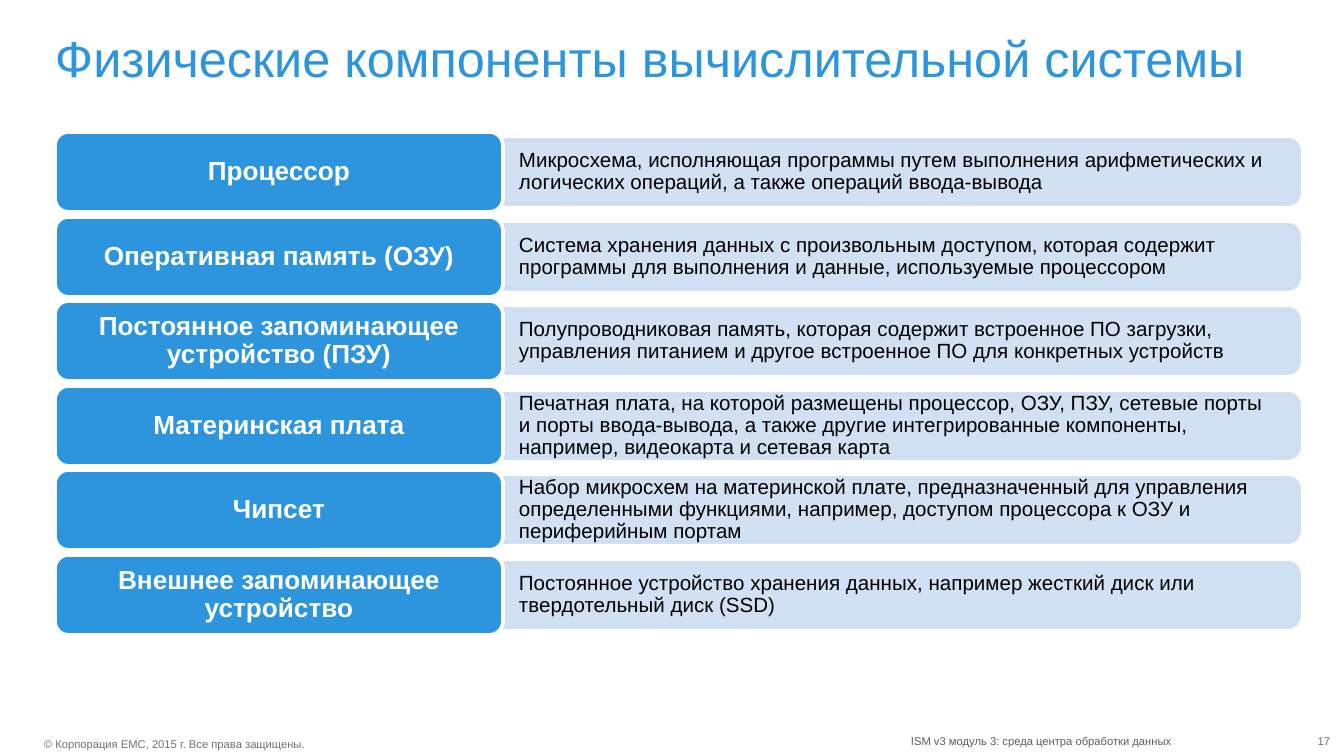
from math import cos, pi, sin

from lxml.etree import SubElement
from pptx import Presentation
from pptx.dml.color import RGBColor
from pptx.enum.shapes import MSO_SHAPE as Preset
from pptx.enum.text import MSO_ANCHOR as Anchor, PP_ALIGN as Align
from pptx.oxml.ns import qn
from pptx.util import Pt

SCALE = 9144000 / 1344
WIDTH, HEIGHT = 1344, 756
COLORS = {
    "accent": "2C95DD",
    "pale": "CDDDF2",
    "white": "FFFFFF",
    "black": "000000",
    "copyright": "717073",
    "module": "5B5E61",
    "number": "717074",
}
LABEL_LEFT, LABEL_WIDTH, LABEL_HEIGHT = 55, 448, 80
BAR_LEFT, BAR_WIDTH, BAR_HEIGHT, BAR_RADIUS = 503, 796, 64, 11
FIRST_TOP, LAST_TOP = 132, 555
COMPONENTS = [
    ("Процессор",
     "Микросхема, исполняющая программы путем выполнения арифметических и "
     "логических операций, а также операций ввода-вывода"),
    ("Оперативная память (ОЗУ)",
     "Система хранения данных с произвольным доступом, которая содержит "
     "программы для выполнения и данные, используемые процессором"),
    ("Постоянное запоминающее устройство (ПЗУ)",
     "Полупроводниковая память, которая содержит встроенное ПО загрузки, "
     "управления питанием и другое встроенное ПО для конкретных устройств"),
    ("Материнская плата",
     "Печатная плата, на которой размещены процессор, ОЗУ, ПЗУ, сетевые порты "
     "и порты ввода-вывода, а также другие интегрированные компоненты, "
     "например, видеокарта и сетевая карта"),
    ("Чипсет",
     "Набор микросхем на материнской плате, предназначенный для управления "
     "определенными функциями, например, доступом процессора к ОЗУ и "
     "периферийным портам"),
    ("Внешнее запоминающее устройство",
     "Постоянное устройство хранения данных, например жесткий диск или "
     "твердотельный диск (SSD)"),
]


def px(length):
    return round(length * SCALE)


def rgb(name):
    return RGBColor.from_string(COLORS[name])


def write(shape, text, *, size, color, bold=False, align=Align.LEFT,
          anchor=Anchor.TOP, insets=(0, 0, 0, 0), spacing=None, wrap=True):
    frame = shape.text_frame
    frame.word_wrap = wrap
    frame.vertical_anchor = anchor
    (frame.margin_left, frame.margin_top,
     frame.margin_right, frame.margin_bottom) = map(px, insets)
    paragraph = frame.paragraphs[0]
    paragraph.alignment = align
    paragraph.line_spacing = spacing
    run = paragraph.add_run()
    run.text = text
    run.font.name = "Arial"
    run.font.size = Pt(size)
    run.font.bold = bold
    run.font.color.rgb = rgb(color)


class ComponentSlide:
    def __init__(self, presentation):
        self.slide = presentation.slides.add_slide(presentation.slide_layouts[6])
        self.shapes = self.slide.shapes

    def paint(self, shape, fill, line, opacity=None):
        shape.shadow.inherit = False
        shape.fill.solid()
        shape.fill.fore_color.rgb = rgb(fill)
        shape.line.color.rgb = rgb(line)
        shape.line.width = Pt(2)
        if opacity:
            for color in shape._element.spPr.iter(qn("a:srgbClr")):
                SubElement(color, qn("a:alpha"), val=str(opacity * 1000))

    def text(self, text, left, top, width, height, **style):
        box = self.shapes.add_textbox(*map(px, (left, top, width, height)))
        write(box, text, **style)

    def bar(self, text, top):
        """Add a description bar with only its right corners rounded."""
        right, bottom = BAR_LEFT + BAR_WIDTH, top + BAR_HEIGHT
        points = [(BAR_LEFT, top)]
        for center_y, start in ((top + BAR_RADIUS, -pi / 2),
                                (bottom - BAR_RADIUS, 0)):
            for step in range(9):
                angle = start + step * pi / 16
                points.append((right - BAR_RADIUS + BAR_RADIUS * cos(angle),
                               center_y + BAR_RADIUS * sin(angle)))
        points.append((BAR_LEFT, bottom))
        outline = [(px(x), px(y)) for x, y in points]
        builder = self.shapes.build_freeform(*outline[0])
        builder.add_line_segments(outline[1:], close=True)
        shape = builder.convert_to_shape()
        self.paint(shape, "pale", "pale", opacity=90)
        write(shape, text, size=11, color="black", anchor=Anchor.MIDDLE,
              insets=(16, 11, 19, 11), spacing=0.9)

    def label(self, text, top):
        shape = self.shapes.add_shape(Preset.ROUNDED_RECTANGLE, *map(
            px, (LABEL_LEFT, top, LABEL_WIDTH, LABEL_HEIGHT)))
        self.paint(shape, "accent", "white")
        write(shape, text, size=14, color="white", bold=True, align=Align.CENTER,
              anchor=Anchor.MIDDLE, insets=(12, 8, 12, 8), spacing=0.9)


def main():
    presentation = Presentation()
    presentation.slide_width = px(WIDTH)
    presentation.slide_height = px(HEIGHT)
    page = ComponentSlide(presentation)

    page.text("© Корпорация EMC, 2015 г. Все права защищены.",
              44, 737, 265, 13, size=6, color="copyright", wrap=False)
    page.text("ISM v3 модуль 3: среда центра обработки данных",
              911, 734, 265, 13, size=6, color="module", wrap=False)
    page.text("Физические компоненты вычислительной системы",
              55, 34, 1243, 67, size=27, color="accent", spacing=0.9)

    pitch = (LAST_TOP - FIRST_TOP) / (len(COMPONENTS) - 1)
    for row, (name, description) in enumerate(COMPONENTS):
        top = round(FIRST_TOP + row * pitch)
        page.bar(description, top + (LABEL_HEIGHT - BAR_HEIGHT) // 2)
        page.label(name, top)

    page.text("17", 1288, 734, 42, 13, size=6, color="number", align=Align.RIGHT)
    presentation.save("out.pptx")


if __name__ == "__main__":
    main()
